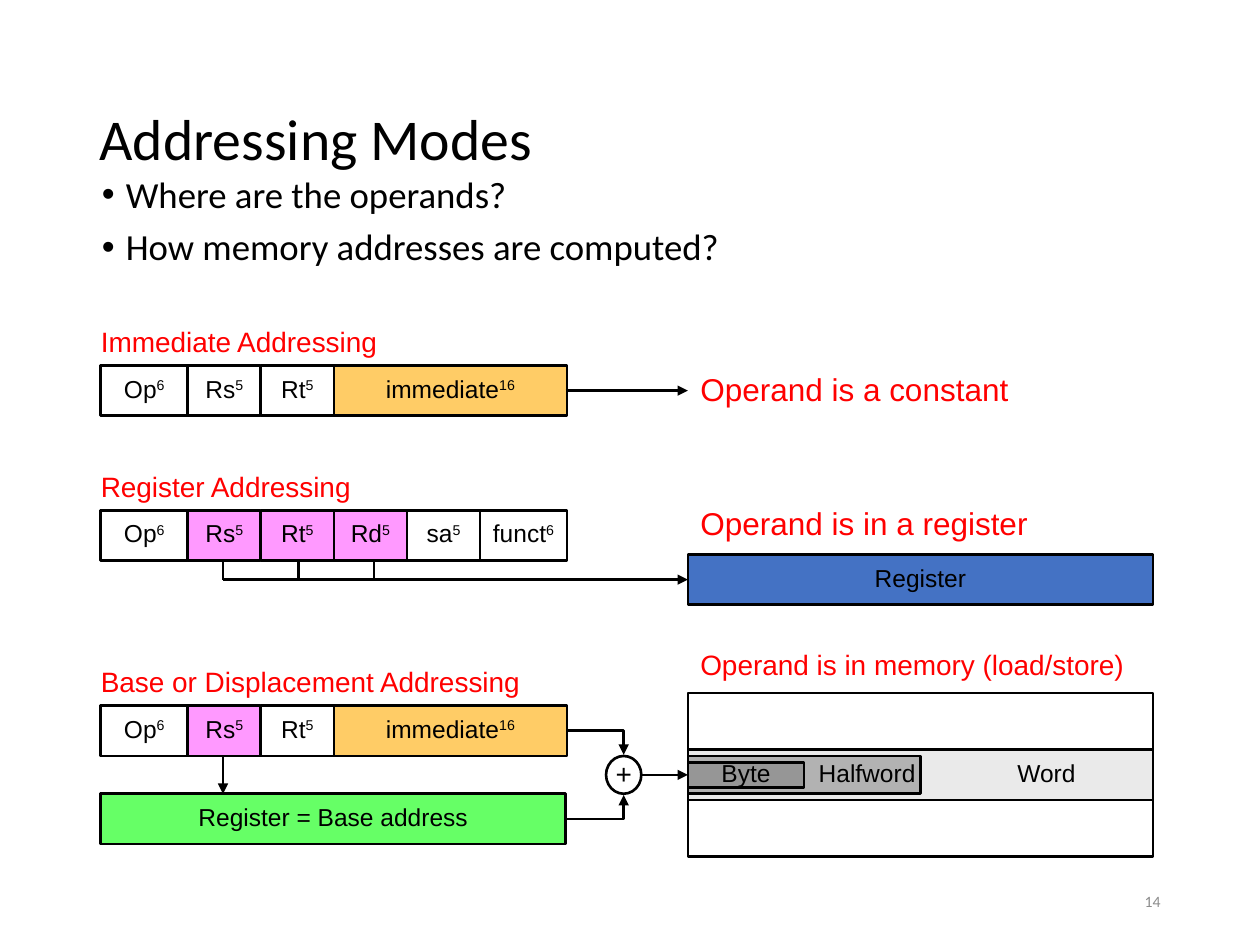
import pptx
import pptx.util
import pptx.dml.color
import pptx.enum.shapes
import pptx.enum.text
import pptx.oxml.ns
import lxml.etree

Inches = pptx.util.Inches
Pt = pptx.util.Pt
RGBColor = pptx.dml.color.RGBColor
Kind = pptx.enum.shapes.MSO_SHAPE
Wire = pptx.enum.shapes.MSO_CONNECTOR
Align = pptx.enum.text.PP_ALIGN
Anchor = pptx.enum.text.MSO_ANCHOR
qn = pptx.oxml.ns.qn

BLACK = RGBColor(0x00, 0x00, 0x00)
WHITE = RGBColor(0xFF, 0xFF, 0xFF)
RED = RGBColor(0xFF, 0x00, 0x00)
PINK = RGBColor(0xFF, 0x99, 0xFF)
AMBER = RGBColor(0xFF, 0xCC, 0x66)
GREEN = RGBColor(0x66, 0xFF, 0x66)
BLUE = RGBColor(0x44, 0x72, 0xC4)
PALE = RGBColor(0xEA, 0xEA, 0xEA)
SILVER = RGBColor(0xB2, 0xB2, 0xB2)
GRAY = RGBColor(0x96, 0x96, 0x96)
DIM = RGBColor(0x8C, 0x8C, 0x8C)

LEFT, RIGHT, WIDE, HIGH = 0.8, 5.46, 3.69, 0.4

deck = pptx.Presentation()
deck.slide_width = Inches(10)
deck.slide_height = Inches(7.5)
slide = deck.slides.add_slide(deck.slide_layouts[5])
shapes = slide.shapes


def add_box(x, y, w, h, fill=None, text="", power="", indent=0, kind=Kind.RECTANGLE):
    box = shapes.add_shape(kind, Inches(x), Inches(y), Inches(w), Inches(h))
    box.shadow.inherit = False
    if fill is None:
        box.fill.background()
    else:
        box.fill.solid()
        box.fill.fore_color.rgb = fill
    box.line.color.rgb = BLACK
    box.line.width = Pt(1.5)
    frame = box.text_frame
    frame.word_wrap = True
    frame.vertical_anchor = Anchor.MIDDLE
    frame.margin_left = frame.margin_right = 0
    frame.margin_top = frame.margin_bottom = Inches(0.1)
    para = frame.paragraphs[0]
    para.alignment = Align.CENTER
    para.line_spacing = 0.85
    if indent:
        para._p.get_or_add_pPr().set("marL", str(Inches(indent)))
    for part in filter(None, (text, power)):
        run = para.add_run()
        run.text = part
        run.font.size = Pt(14)
        run.font.name = "Arial"
        run.font.color.rgb = BLACK
        if part == power:
            run._r.get_or_add_rPr().set("baseline", "30000")
    return box


def add_wire(x1, y1, x2, y2, arrow=True, bent=False):
    kind = Wire.ELBOW if bent else Wire.STRAIGHT
    wire = shapes.add_connector(kind, Inches(x1), Inches(y1), Inches(x2), Inches(y2))
    wire.line.color.rgb = BLACK
    wire.line.width = Pt(1.5)
    props = wire._element.spPr
    if bent:
        props.find(qn("a:prstGeom")).set("prst", "bentConnector2")
    if arrow:
        tip = lxml.etree.SubElement(wire.line._get_or_add_ln(), qn("a:tailEnd"))
        tip.set("type", "triangle")
    lxml.etree.SubElement(props, qn("a:effectLst"))


title = shapes.title
title.left, title.top = Inches(0.69), Inches(0.4)
title.width, title.height = Inches(8.62), Inches(1.45)
title.text_frame.vertical_anchor = Anchor.MIDDLE
para = title.text_frame.paragraphs[0]
para.alignment = Align.LEFT
para.line_spacing = 0.9
run = para.add_run()
run.text = "Addressing Modes"
run.font.size = Pt(33)
run.font.name = "Calibri"
run.font.color.rgb = BLACK

body = shapes.add_textbox(Inches(0.71), Inches(1.35), Inches(8.39), Inches(1.15))
frame = body.text_frame
frame.word_wrap = True
for i, text in enumerate(["Where are the operands?", "How memory addresses are computed?"]):
    para = frame.add_paragraph() if i else frame.paragraphs[0]
    para.line_spacing = 0.9
    if i:
        para.space_before = Pt(7.5)
    props = para._p.get_or_add_pPr()
    props.set("marL", str(Inches(0.19)))
    props.set("indent", str(-Inches(0.19)))
    lxml.etree.SubElement(props, qn("a:buFont")).set("typeface", "Arial")
    lxml.etree.SubElement(props, qn("a:buChar")).set("char", "•")
    run = para.add_run()
    run.text = text
    run.font.size = Pt(21)
    run.font.name = "Calibri"
    run.font.color.rgb = BLACK

SHORT, MID, LONG = 0.58, 0.69, 1.85
formats = [
    (2.9, [("Op", "6", MID, WHITE), ("Rs", "5", SHORT, WHITE),
           ("Rt", "5", SHORT, WHITE), ("immediate", "16", LONG, AMBER)]),
    (4.05, [("Op", "6", MID, WHITE), ("Rs", "5", SHORT, PINK),
            ("Rt", "5", SHORT, PINK), ("Rd", "5", SHORT, PINK),
            ("sa", "5", SHORT, WHITE), ("funct", "6", MID, WHITE)]),
    (5.6, [("Op", "6", MID, WHITE), ("Rs", "5", SHORT, PINK),
           ("Rt", "5", SHORT, WHITE), ("immediate", "16", LONG, AMBER)]),
]
for y, fields in formats:
    x = LEFT
    for text, power, w, fill in fields:
        add_box(x, y, w, HIGH, fill, text, power)
        x += w

add_wire(4.49, 3.1, RIGHT, 3.1)

add_box(RIGHT, 4.4, WIDE, HIGH, BLUE, "Register")
add_wire(1.77, 4.6, RIGHT, 4.6)
for x in (1.77, 2.37, 2.97):
    add_wire(x, 4.45, x, 4.6, arrow=False)

add_box(LEFT, 6.3, WIDE, HIGH, GREEN, "Register = Base address")
add_wire(1.77, 6, 1.77, 6.3)
plus = add_box(4.81, 6, 0.28, 0.27, WHITE, "+")
plus.line.fill.background()
plus.text_frame.margin_top = plus.text_frame.margin_bottom = 0
para = plus.text_frame.paragraphs[0]
para.line_spacing = 1.0
para.runs[0].font.size = Pt(16)
add_box(4.81, 6, 0.28, 0.3, kind=Kind.OVAL)
add_wire(4.5, 6.5, 4.95, 6.31, bent=True)
add_wire(4.5, 5.8, 4.95, 5.99, bent=True)
add_wire(5.09, 6.15, RIGHT, 6.15)

add_box(RIGHT, 5.95, WIDE, HIGH, PALE, "Word", indent=2)
add_box(RIGHT, 5.5, WIDE, 1.3)
add_box(RIGHT, 6, WIDE / 2, 0.3, SILVER, "Halfword", indent=1)
add_box(RIGHT, 6.05, WIDE / 4, 0.2, GRAY, "Byte")

labels = [
    (LEFT, 2.55, 0, 16, Anchor.MIDDLE, "Immediate Addressing"),
    (LEFT, 3.7, 0, 16, Anchor.MIDDLE, "Register Addressing"),
    (LEFT, 5.25, 0, 16, Anchor.MIDDLE, "Base or Displacement Addressing"),
    (RIGHT, 2.93, 0.1, 18, Anchor.MIDDLE, "Operand is a constant"),
    (RIGHT, 4, 0.1, 18, Anchor.TOP, "Operand is in a register"),
    (RIGHT, 5.14, 0.1, 16, Anchor.TOP, "Operand is in memory (load/store)"),
]
for x, y, pad, size, anchor, text in labels:
    label = shapes.add_textbox(Inches(x), Inches(y), Inches(WIDE), Inches(0.32))
    frame = label.text_frame
    frame.word_wrap = True
    frame.vertical_anchor = anchor
    frame.margin_left = frame.margin_right = Inches(pad)
    frame.margin_top = frame.margin_bottom = 0
    run = frame.paragraphs[0].add_run()
    run.text = text
    run.font.size = Pt(size)
    run.font.name = "Arial"
    run.font.color.rgb = RED

page = shapes.add_textbox(Inches(7.06), Inches(6.95), Inches(2.25), Inches(0.4))
page.text_frame.word_wrap = True
page.text_frame.vertical_anchor = Anchor.MIDDLE
para = page.text_frame.paragraphs[0]
para.alignment = Align.RIGHT
run = para.add_run()
run.text = "14"
run.font.size = Pt(9)
run.font.name = "Calibri"
run.font.color.rgb = DIM

deck.save("out.pptx")
